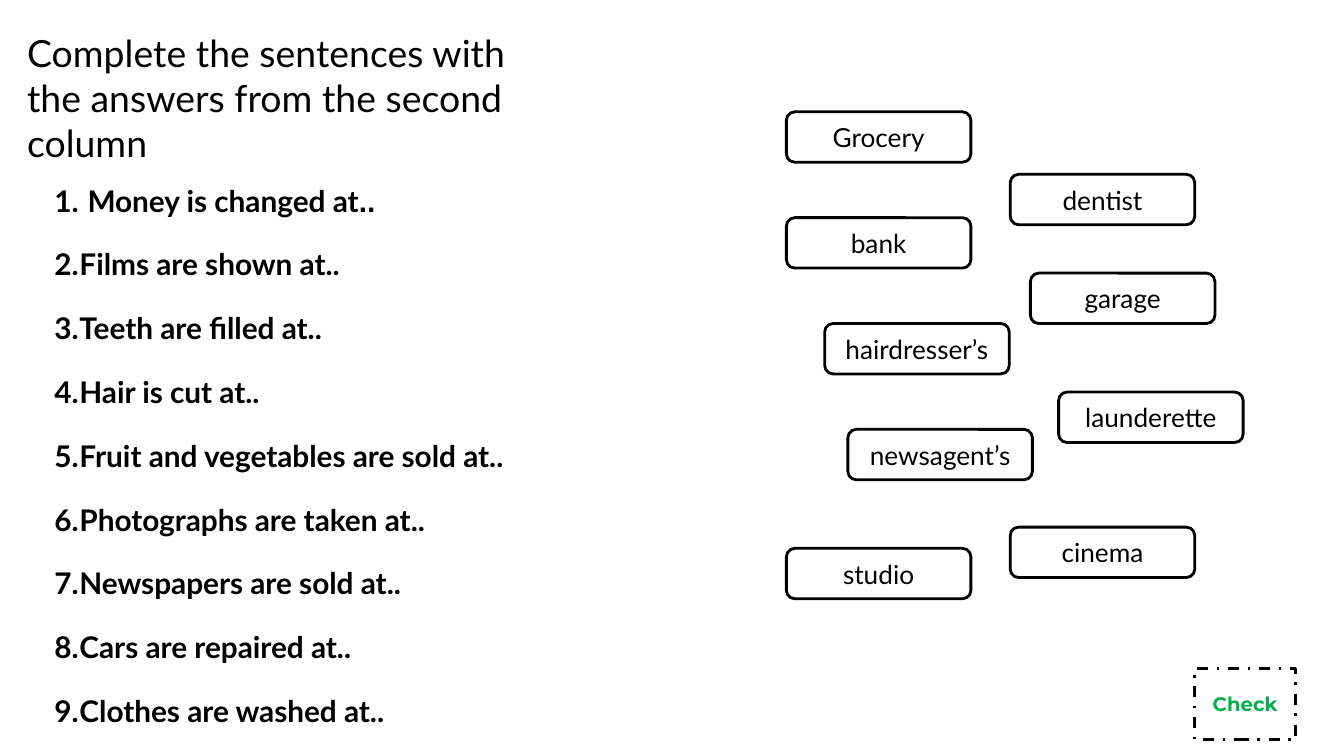
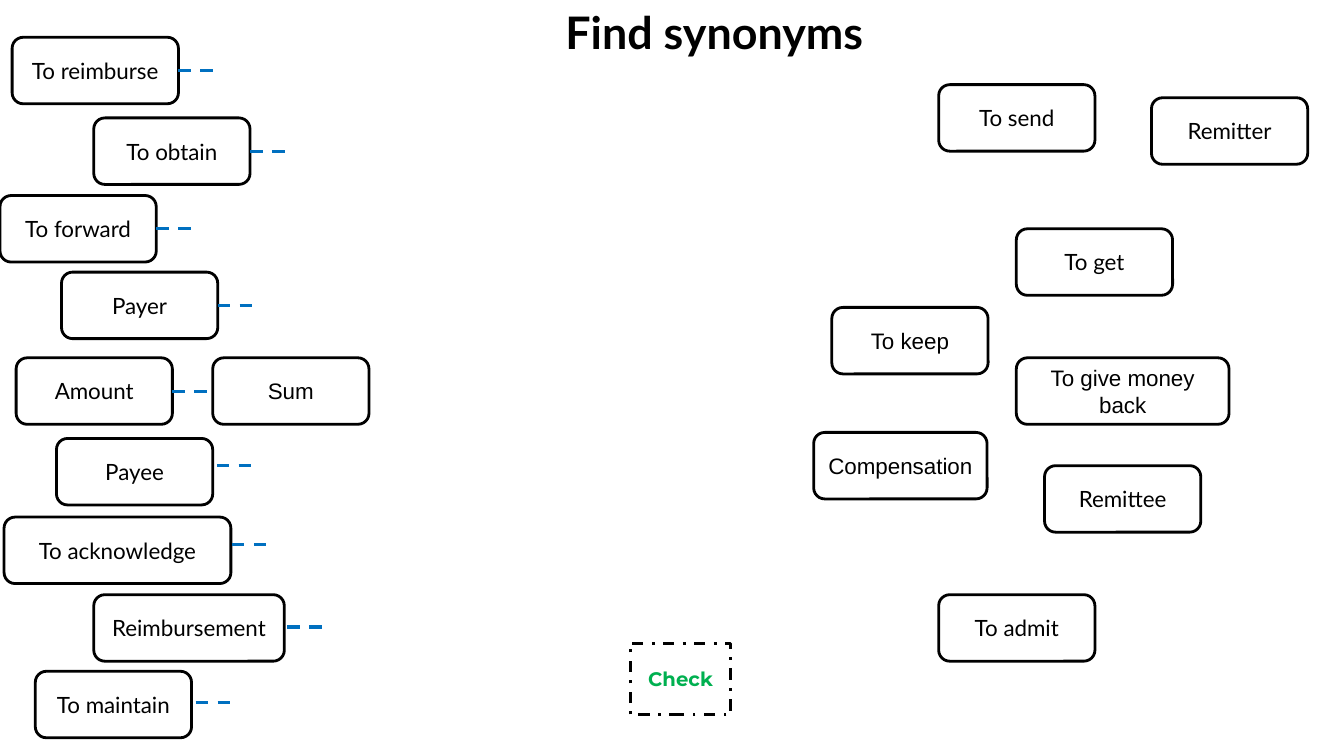
import pptx
import pptx.util
import pptx.dml.color
import pptx.enum.dml
import pptx.enum.shapes
import pptx.enum.text
from lxml import etree

PX = 9144  # EMU in one px, a hundredth of an inch
COLORS = {"paper": "FFFFFF", "ink": "000000", "check": "00B050", "dash": "0070C0"}
DASH = pptx.enum.dml.MSO_LINE
ALIGN = pptx.enum.text.PP_ALIGN
SHAPE = pptx.enum.shapes.MSO_SHAPE
RIGHT_SIDE = 3

TITLE = {"name": "Lato", "size": 26.7}
BIG_TITLE = {"name": "Lato", "size": 32, "bold": True}
SENTENCE = {"name": "Lato", "size": 21.3, "bold": True}
SENTENCE_DOTS = {**SENTENCE, "name": "Arial"}
ANSWER = {"name": "Lato", "size": 18.7}
WORD = {"name": "Lato", "size": 16}
ARIAL_WORD = {**WORD, "name": "Arial"}
CHECK = {"name": "Montserrat", "size": 14, "bold": True}

ANSWER_WIDTH, ANSWER_HEIGHT = 183, 50
WORD_WIDTH, WORD_HEIGHT = 155, 66
DASH_LENGTH = 35

SENTENCES = [
    "Money is changed at..", "Films are shown at..", "Teeth are filled at..",
    "Hair is cut at..", "Fruit and vegetables are sold at..",
    "Photographs are taken at..", "Newspapers are sold at..",
    "Cars are repaired at..", "Clothes are washed at..",
]

# text, left, top
ANSWERS = [
    ("Grocery", 780, 111), ("dentist", 1002, 173), ("bank", 780, 216),
    ("garage", 1022, 271), ("hairdresser’s", 818, 321),
    ("launderette", 1050, 389), ("newsagent’s", 841, 426),
    ("cinema", 1002, 523), ("studio", 780, 544),
]

# text, left, top, width, start of a loose dash (None: joined to the box)
TERMS = [
    ("To reimburse", 12, 37, 165, None),
    ("To obtain", 93, 117, WORD_WIDTH, None),
    ("To forward", 0, 194, WORD_WIDTH, None),
    ("Payer", 61, 270, WORD_WIDTH, None),
    ("Amount", 16, 355, WORD_WIDTH, None),
    ("Payee", 56, 435, WORD_WIDTH, (215, 462)),
    ("To acknowledge", 4, 513, 225, (230, 540)),
    ("Reimbursement", 93, 590, 189, (285, 622)),
    ("To maintain", 35, 666, WORD_WIDTH, (194, 697)),
]

# text, left, top, width, format
SYNONYMS = [
    ("To send", 931, 84, WORD_WIDTH, WORD),
    ("Remitter", 1142, 97, WORD_WIDTH, WORD),
    ("To get", 1008, 227, WORD_WIDTH, WORD),
    ("To keep", 825, 305, WORD_WIDTH, ARIAL_WORD),
    ("Sum", 211, 355, WORD_WIDTH, ARIAL_WORD),
    ("To give money back", 1008, 355, 211, ARIAL_WORD),
    ("Compensation", 807, 429, 172, ARIAL_WORD),
    ("Remittee", 1036, 462, WORD_WIDTH, WORD),
    ("To admit", 931, 590, WORD_WIDTH, WORD),
]


def emu(*lengths):
    return [pptx.util.Emu(length * PX) for length in lengths]


def rgb(color):
    return pptx.dml.color.RGBColor.from_string(COLORS[color])


def add_run(paragraph, text, style, color="ink"):
    run = paragraph.add_run()
    run.text = text
    for attribute, value in style.items():
        setattr(run.font, attribute, pptx.util.Pt(value) if attribute == "size" else value)
    run.font.color.rgb = rgb(color)


def set_line(line, color, width, dash=None):
    line.color.rgb = rgb(color)
    line.width = pptx.util.Pt(width)
    if dash is not None:
        line.dash_style = dash


def add_text_frame(slide, left, top, width, height):
    frame = slide.shapes.add_textbox(*emu(left, top, width, height)).text_frame
    frame.word_wrap = True
    return frame


def add_title(slide, text, box, style):
    add_run(add_text_frame(slide, *box).paragraphs[0], text, style)


def add_box(slide, text, box, style, color="ink", preset=SHAPE.ROUNDED_RECTANGLE, dash=None):
    shape = slide.shapes.add_shape(preset, *emu(*box))
    shape.shadow.inherit = False
    shape.fill.solid()
    shape.fill.fore_color.rgb = rgb("paper")
    set_line(shape.line, "ink", 2, dash)
    shape.text_frame.word_wrap = True
    shape.text_frame.vertical_anchor = pptx.enum.text.MSO_ANCHOR.MIDDLE
    paragraph = shape.text_frame.paragraphs[0]
    paragraph.alignment = ALIGN.CENTER
    add_run(paragraph, text, style, color)
    return shape


def add_check(slide, left, top):
    add_box(slide, "Check", (left, top, 100, 71), CHECK, "check",
            SHAPE.RECTANGLE, DASH.DASH_DOT)


def add_dash(slide, left, top):
    connector = slide.shapes.add_connector(
        pptx.enum.shapes.MSO_CONNECTOR.STRAIGHT, *emu(left, top, left + DASH_LENGTH, top))
    set_line(connector.line, "dash", 2.25, DASH.DASH)
    properties = connector.element.spPr
    etree.SubElement(properties, pptx.oxml.ns.qn("a:effectLst"))
    return connector


def number_paragraph(paragraph, indent):
    """Give the paragraph an automatic number with a hanging indent in px."""
    properties = paragraph._p.get_or_add_pPr()
    properties.set("marL", str(indent * PX))
    properties.set("indent", str(-indent * PX))
    numbering = etree.SubElement(properties, pptx.oxml.ns.qn("a:buAutoNum"))
    numbering.set("type", "arabicPeriod")


def add_sentences(slide):
    frame = add_text_frame(slide, 44, 176, 556, 558)
    for index, sentence in enumerate(SENTENCES):
        first = index == 0
        paragraph = frame.paragraphs[0] if first else frame.add_paragraph()
        number_paragraph(paragraph, 33 if first else 25)
        paragraph.alignment = ALIGN.JUSTIFY
        if first:
            add_run(paragraph, sentence.rstrip("."), SENTENCE)
            add_run(paragraph, "..", SENTENCE_DOTS)
        else:
            paragraph.space_before = pptx.util.Pt(20)
            add_run(paragraph, sentence, SENTENCE)


def add_term(slide, text, left, top, width, loose_start):
    box = add_box(slide, text, (left, top, width, WORD_HEIGHT), WORD)
    if loose_start:
        add_dash(slide, *loose_start)
    else:
        dash = add_dash(slide, left + width, top + WORD_HEIGHT // 2)
        dash.begin_connect(box, RIGHT_SIDE)


def build_sentences_slide(slide):
    add_title(slide, "Complete the sentences with the answers from the second column",
              (17, 25, 528, 145), TITLE)
    add_sentences(slide)
    for text, left, top in ANSWERS:
        add_box(slide, text, (left, top, ANSWER_WIDTH, ANSWER_HEIGHT), ANSWER)
    add_check(slide, 1185, 663)


def build_synonyms_slide(slide):
    add_title(slide, "Find synonyms", (551, 0, 343, 64), BIG_TITLE)
    for term in TERMS:
        add_term(slide, *term)
    for text, left, top, width, style in SYNONYMS:
        add_box(slide, text, (left, top, width, WORD_HEIGHT), style)
    add_check(slide, 625, 638)


def main():
    presentation = pptx.Presentation()
    presentation.slide_width, presentation.slide_height = emu(1333, 750)
    blank = presentation.slide_layouts[6]
    for build in (build_sentences_slide, build_synonyms_slide):
        build(presentation.slides.add_slide(blank))
    presentation.save("out.pptx")


if __name__ == "__main__":
    main()
